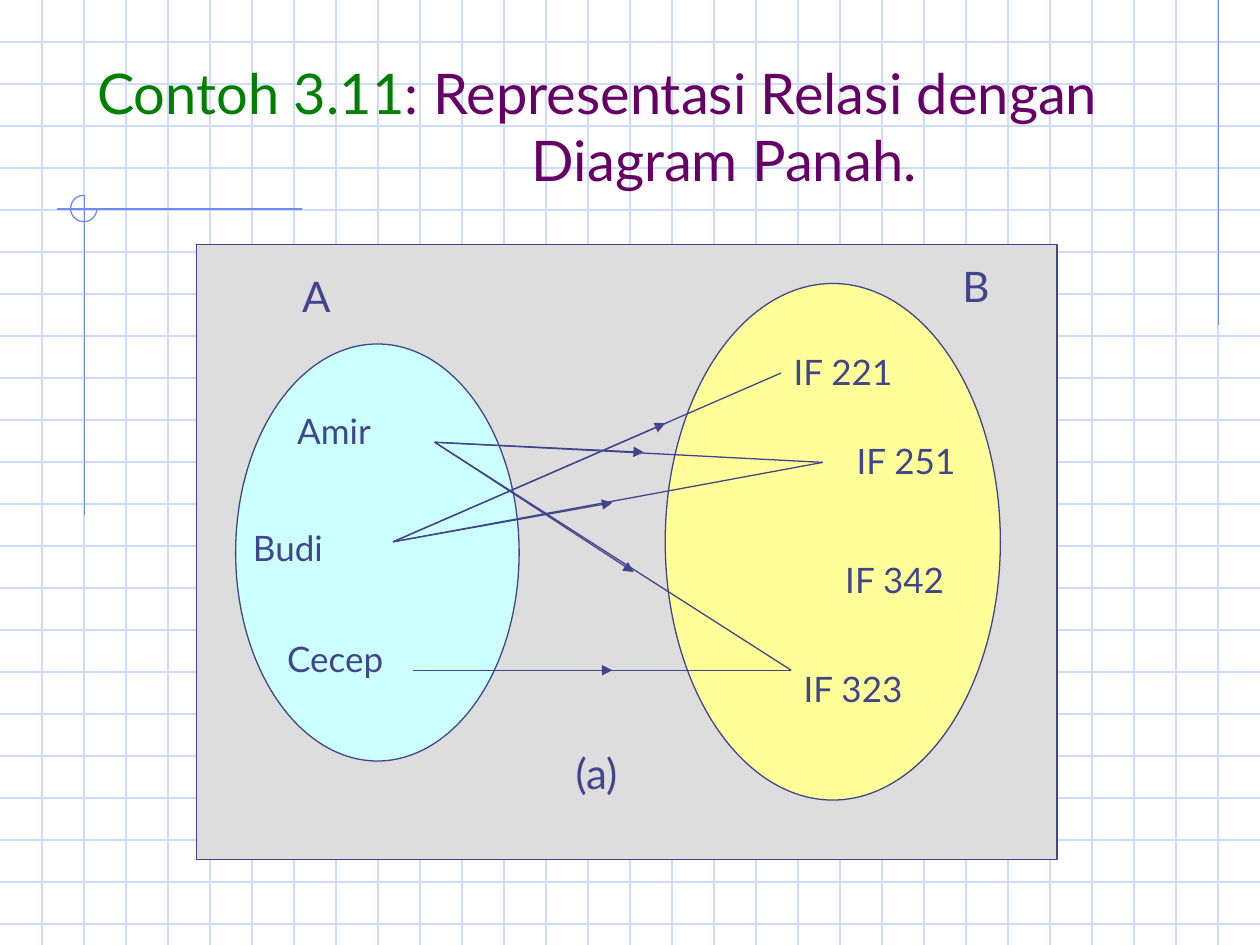
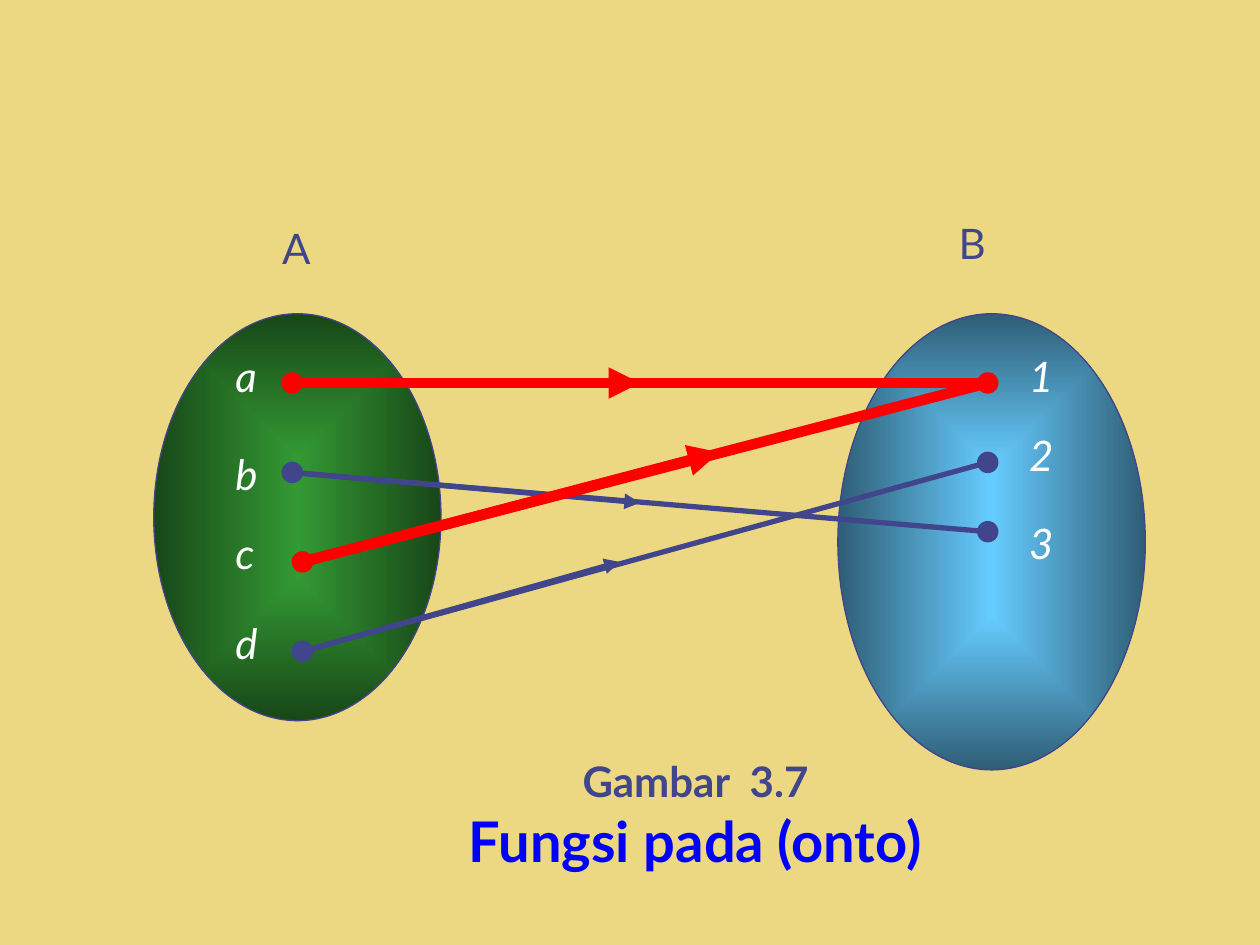
from dataclasses import dataclass

import lxml.etree
import pptx
import pptx.dml.color
import pptx.enum.shapes
import pptx.enum.text
import pptx.oxml.ns
import pptx.util
from pptx.util import Inches

FONT = "Lato"
NAVY, RED, WHITE = "40458C", "FF0000", "FFFFFF"
GRID_BLUE, ACCENT_BLUE = "CFDBFD", "6F89F7"
GREEN, PURPLE, BLUE = "008000", "660066", "0000FF"
HEIGHT_FOR_SIZE = {20: 0.44, 24: 0.5}
DOT_SIZE = 0.16
GRID_STEP = 1 / 3

Point = tuple[float, float]
SHAPES = pptx.enum.shapes.MSO_SHAPE
ALIGN = pptx.enum.text.PP_ALIGN
AUTO_SIZE = pptx.enum.text.MSO_AUTO_SIZE


@dataclass
class Label:
    text: str
    left: float
    top: float
    width: float
    size: int = 24
    color: str = NAVY
    italic: bool = False


@dataclass
class Relation:
    """A line from one element to another, with an arrowhead part of the way."""
    start: Point
    end: Point
    arrow_at: Point
    color: str = NAVY
    weight: float = 0.75


@dataclass
class SetOval:
    left: float
    top: float
    width: float
    height: float
    fill: str
    edge_fill: str | None = None


def rgb(color: str) -> pptx.dml.color.RGBColor:
    return pptx.dml.color.RGBColor.from_string(color)


def add_child(parent, tag: str, **attributes: str):
    return lxml.etree.SubElement(parent, pptx.oxml.ns.qn(tag), attributes)


def add_line(page, start: Point, end: Point, color: str = NAVY,
             weight: float = 0.75, arrow: bool = False) -> None:
    line = page.shapes.add_connector(
        pptx.enum.shapes.MSO_CONNECTOR.STRAIGHT,
        *(Inches(value) for value in (*start, *end)))
    line.line.color.rgb = rgb(color)
    line.line.width = pptx.util.Pt(weight)
    if arrow:
        add_child(line.line._get_or_add_ln(), "a:tailEnd", type="triangle")
    add_child(line.element.spPr, "a:effectLst")


def add_relation(page, relation: Relation) -> None:
    style = relation.color, relation.weight
    add_line(page, relation.start, relation.end, *style)
    add_line(page, relation.start, relation.arrow_at, *style, arrow=True)


def add_figure(page, kind, left: float, top: float, width: float,
               height: float, fill: str | None, line: str = NAVY):
    figure = page.shapes.add_shape(
        kind, *(Inches(value) for value in (left, top, width, height)))
    figure.shadow.inherit = False
    figure.line.color.rgb = rgb(line)
    figure.line.width = pptx.util.Pt(0.75)
    if fill:
        figure.fill.solid()
        figure.fill.fore_color.rgb = rgb(fill)
    else:
        figure.fill.background()
    return figure


def add_set(page, oval: SetOval) -> None:
    figure = add_figure(page, SHAPES.OVAL, oval.left, oval.top,
                        oval.width, oval.height, oval.fill)
    if oval.edge_fill:
        figure.fill.gradient()
        for stop, color in zip(figure.fill.gradient_stops,
                               (oval.fill, oval.edge_fill)):
            stop.color.rgb = rgb(color)
        gradient = figure.element.spPr.find(pptx.oxml.ns.qn("a:gradFill"))
        gradient.remove(gradient.find(pptx.oxml.ns.qn("a:lin")))
        center = add_child(gradient, "a:path", path="rect")
        add_child(center, "a:fillToRect", l="50000", t="50000",
                  r="50000", b="50000")


def add_dot(page, center: Point, color: str) -> None:
    left, top = (value - DOT_SIZE / 2 for value in center)
    add_figure(page, SHAPES.OVAL, left, top, DOT_SIZE, DOT_SIZE, color, color)


def add_span(para, text: str, size: int, color: str,
             bold: bool = False, italic: bool = False) -> None:
    span = para.add_run()
    span.text = text
    span.font.name = FONT
    span.font.size = pptx.util.Pt(size)
    span.font.color.rgb = rgb(color)
    span.font.bold = bold
    span.font.italic = italic


def add_box(page, left: float, top: float, width: float, height: float):
    """Add an unwrapped text box and return its text frame."""
    box = page.shapes.add_textbox(
        *(Inches(value) for value in (left, top, width, height)))
    box.text_frame.word_wrap = False
    box.text_frame.auto_size = AUTO_SIZE.SHAPE_TO_FIT_TEXT
    return box.text_frame


def add_label(page, label: Label) -> None:
    frame = add_box(page, label.left, label.top, label.width,
                    HEIGHT_FOR_SIZE[label.size])
    add_span(frame.paragraphs[0], label.text, label.size, label.color,
             italic=label.italic)


def add_grid_backdrop(page) -> None:
    for row in range(1, 23):
        add_line(page, (0, row * GRID_STEP), (10, row * GRID_STEP), GRID_BLUE)
    for column in range(1, 30):
        add_line(page, (column * GRID_STEP, 0), (column * GRID_STEP, 7.5),
                 GRID_BLUE)
    add_line(page, (9.67, 0), (9.67, 2.58), ACCENT_BLUE)
    add_line(page, (2.4, 1.66), (0.45, 1.66), ACCENT_BLUE)
    add_line(page, (0.67, 1.55), (0.67, 4.09), ACCENT_BLUE)
    arc = add_figure(page, SHAPES.ARC, 0.56, 1.55, 0.21, 0.21, None,
                     ACCENT_BLUE)
    arc.adjustments[0] = 0
    arc.adjustments[1] = 162  # 270 degrees


def format_title(page) -> None:
    title = page.shapes.title
    title.left, title.top = Inches(0.67), Inches(0.33)
    title.width, title.height = Inches(8.98), Inches(1.25)
    title.element.getparent().append(title.element)  # in front of the grid
    frame = title.text_frame
    frame.word_wrap = True
    frame.auto_size = AUTO_SIZE.NONE
    frame.vertical_anchor = pptx.enum.text.MSO_ANCHOR.BOTTOM
    para = frame.paragraphs[0]
    para.alignment = ALIGN.LEFT
    hanging = Inches(3.45)
    properties = para._p.get_or_add_pPr()
    properties.set("marL", str(hanging))
    properties.set("indent", str(-hanging))
    add_span(para, "Contoh 3.11", 32, GREEN)
    add_span(para, ": Representasi Relasi dengan", 32, PURPLE)
    para.add_line_break()
    add_span(para, "Diagram Panah.", 32, PURPLE)


def build_arrow_diagram(deck) -> None:
    page = deck.slides.add_slide(deck.slide_layouts[5])
    add_grid_backdrop(page)
    format_title(page)
    add_figure(page, SHAPES.RECTANGLE, 1.56, 1.94, 6.83, 4.88, "DDDDDD")
    add_set(page, SetOval(1.87, 2.73, 2.25, 3.31, "CCFFFF"))
    add_set(page, SetOval(5.28, 2.25, 2.66, 4.1, "FFFF99"))
    for label in (
        Label("Amir", 2.26, 3.2, 0.89, 20),
        Label("Budi", 1.91, 4.13, 0.87, 20),
        Label("Cecep", 2.18, 5.01, 1.06, 20),
        Label("IF 221", 6.2, 2.73, 0.99, 20),
        Label("IF 251", 6.7, 3.44, 0.99, 20),
        Label("IF 342", 6.61, 4.38, 0.99, 20),
        Label("IF 323", 6.28, 5.25, 0.99, 20),
        Label("A", 2.3, 2.1, 0.41),
        Label("B", 7.54, 2.02, 0.41),
        Label("(a)", 4.47, 5.88, 0.58),
    ):
        add_label(page, label)
    amir, budi, cecep = (3.45, 3.51), (3.12, 4.3), (3.28, 5.32)
    if_221, if_251, if_323 = (6.2, 2.96), (6.53, 3.67), (6.28, 5.32)
    for relation in (
        Relation(budi, if_251, (4.86, 3.99)),
        Relation(amir, if_251, (5.11, 3.59)),
        Relation(budi, if_221, (5.28, 3.36)),
        Relation(amir, if_323, (5.03, 4.54)),
        Relation(cecep, if_323, (4.86, 5.32)),
    ):
        add_relation(page, relation)


def build_onto_function(deck) -> None:
    page = deck.slides.add_slide(deck.slide_layouts[6])
    page.background.fill.solid()
    page.background.fill.fore_color.rgb = rgb("ECD882")
    add_set(page, SetOval(1.22, 2.49, 2.28, 3.23, "339933", "184718"))
    add_set(page, SetOval(6.65, 2.49, 2.44, 3.62, "66CCFF", "2F5E76"))
    a, b, c, d = (2.32, 3.04), (2.32, 3.75), (2.4, 4.46), (2.4, 5.17)
    one, two, three = (7.84, 3.04), (7.84, 3.67), (7.84, 4.22)
    relations = (
        Relation(a, one, (5.08, 3.04), RED, 6),
        Relation(b, three, (5.08, 3.99), NAVY, 3),
        Relation(d, two, (4.92, 4.46), NAVY, 3),
        Relation(c, one, (5.71, 3.59), RED, 6),
    )
    dots = {point: relation.color for relation in relations
            for point in (relation.start, relation.end)}
    for point, color in dots.items():
        add_dot(page, point, color)
    for relation in relations:
        add_relation(page, relation)
    add_label(page, Label("A", 2.14, 1.72, 0.41))
    add_label(page, Label("B", 7.51, 1.68, 0.41))
    for left, elements in (
        (1.77, {"a": 2.73, "b": 3.51, "c": 4.14, "d": 4.85}),
        (8.07, {"1": 2.73, "2": 3.36, "3": 4.06}),
    ):
        for text, top in elements.items():
            add_label(page, Label(text, left, top, 0.39, color=WHITE,
                                  italic=True))
    caption = add_box(page, 3.35, 5.95, 4.34, 1.04)
    number, name = caption.paragraphs[0], caption.add_paragraph()
    number.alignment = name.alignment = ALIGN.CENTER
    add_span(number, "Gambar  3.7", 24, NAVY, bold=True)
    add_span(name, "Fungsi pada (onto)", 32, BLUE, bold=True)


def main() -> None:
    deck = pptx.Presentation()
    deck.slide_width, deck.slide_height = Inches(10), Inches(7.5)
    build_arrow_diagram(deck)
    build_onto_function(deck)
    deck.save("out.pptx")


if __name__ == "__main__":
    main()
